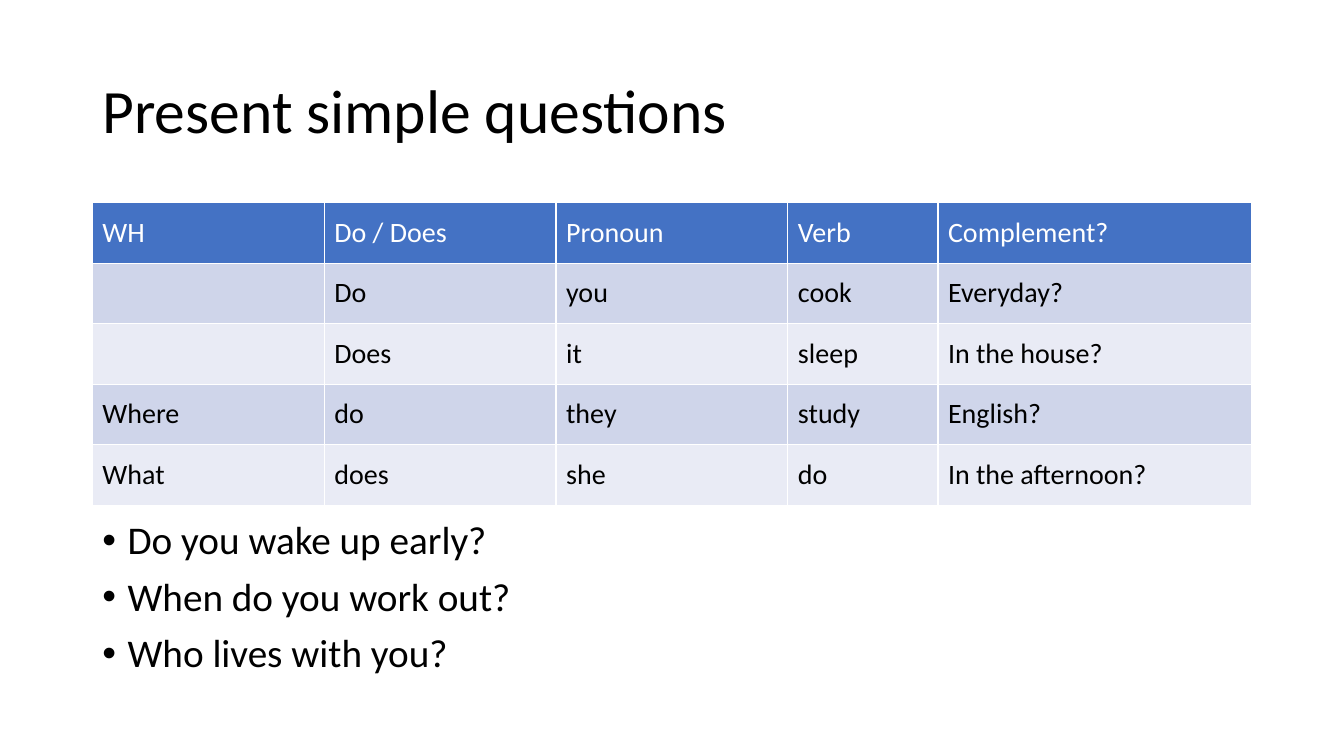
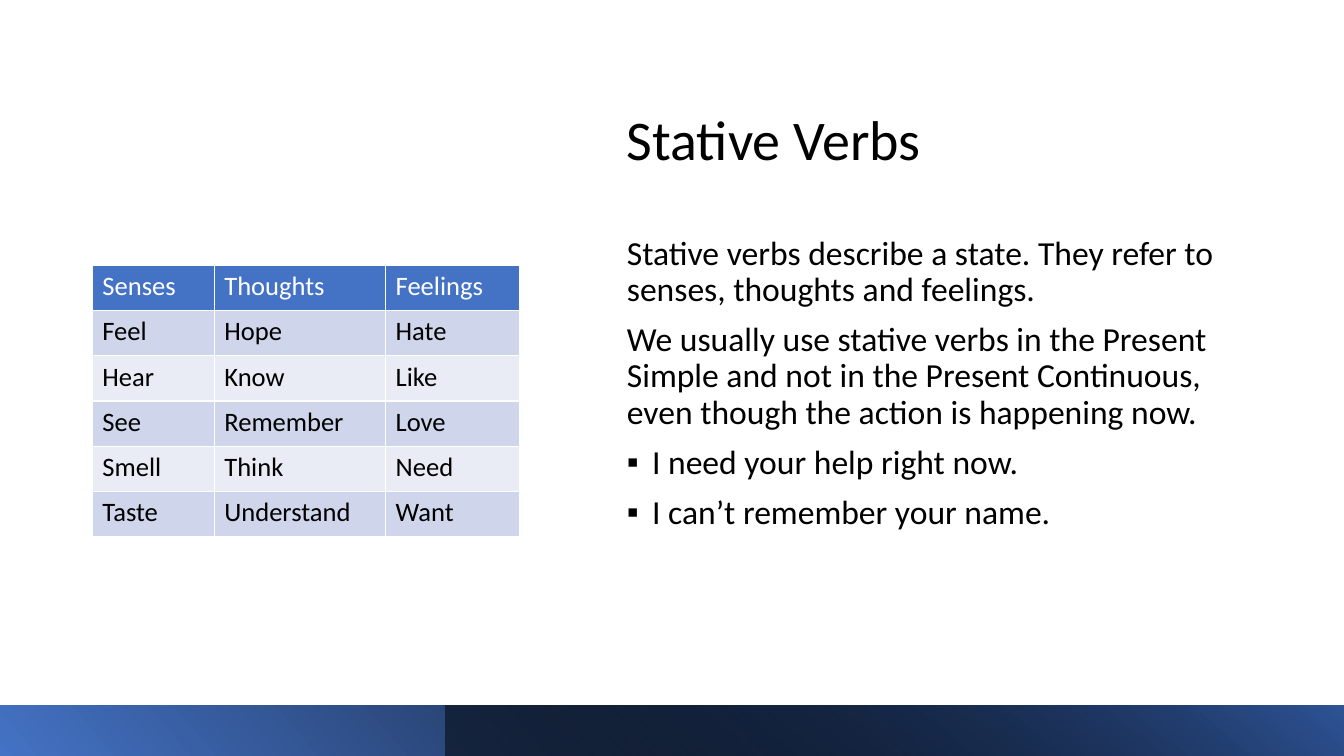
from lxml import etree
from pptx import Presentation
from pptx.dml.color import RGBColor
from pptx.enum.shapes import MSO_SHAPE
from pptx.enum.text import MSO_ANCHOR, MSO_AUTO_SIZE, PP_ALIGN
from pptx.oxml.ns import qn
from pptx.util import Pt

# Content
QUESTIONS_TITLE = "Present simple questions"
QUESTION_ROWS = [
    ("WH", "Do / Does", "Pronoun", "Verb", "Complement?"),
    ("", "Do", "you", "cook", "Everyday?"),
    ("", "Does", "it", "sleep", "In the house?"),
    ("Where", "do", "they", "study", "English?"),
    ("What", "does", "she", "do", "In the afternoon?"),
]
QUESTION_EXAMPLES = [
    ("•", "Do you wake up early?"),
    ("•", "When do you work out?"),
    ("•", "Who lives with you?"),
]
STATIVE_TITLE = "Stative Verbs"
STATIVE_ROWS = [
    ("Senses", "Thoughts", "Feelings"),
    ("Feel", "Hope", "Hate"),
    ("Hear", "Know", "Like"),
    ("See", "Remember", "Love"),
    ("Smell", "Think", "Need"),
    ("Taste", "Understand", "Want"),
]
STATIVE_NOTES = [
    ("", "Stative verbs describe a state. They refer to senses, thoughts and feelings."),
    ("", "We usually use stative verbs in the Present Simple and not in the Present "
         "Continuous, even though the action is happening now."),
    ("▪", "I need your help right now."),
    ("▪", "I can’t remember your name."),
]

# Shared style
FONT = "Calibri"
BLACK = RGBColor(0x00, 0x00, 0x00)
WHITE = RGBColor(0xFF, 0xFF, 0xFF)
BLUE = RGBColor(0x44, 0x72, 0xC4)
DEEP_BLUE = RGBColor(0x2F, 0x55, 0x97)
ROW_FILLS = (RGBColor(0xE9, 0xEB, 0xF5), RGBColor(0xCF, 0xD5, 0xEA))
TOP, MIDDLE, BOTTOM = MSO_ANCHOR.TOP, MSO_ANCHOR.MIDDLE, MSO_ANCHOR.BOTTOM
LEFT = PP_ALIGN.LEFT
NO_AUTOFIT = MSO_AUTO_SIZE.NONE
RECTANGLE = MSO_SHAPE.RECTANGLE
SLIDE_WIDTH, SLIDE_HEIGHT = 960, 540
MARGIN = 66
CONTENT_WIDTH = SLIDE_WIDTH - 2 * MARGIN
BULLET_INDENT = 18
BAND_HEIGHT = 36
TITLE_AND_CONTENT = 1


def write(paragraph, text, size, color=BLACK, line_spacing=None, space_before=0, bullet=None):
    """Fill a paragraph; bullet is a character, "" for none, None to leave as is."""
    run = paragraph.add_run()
    run.text = text
    run.font.name = FONT
    run.font.size = Pt(size)
    run.font.bold = False
    run.font.color.rgb = color
    paragraph.alignment = LEFT
    paragraph.line_spacing = line_spacing
    paragraph.space_before = Pt(space_before)
    if bullet is None:
        return
    properties = paragraph._p.get_or_add_pPr()
    indent = Pt(BULLET_INDENT) if bullet else 0
    properties.set("marL", str(indent))
    properties.set("indent", str(-indent))
    if bullet:
        etree.SubElement(properties, qn("a:buFont"), typeface="Arial")
        etree.SubElement(properties, qn("a:buChar"), char=bullet)
    else:
        etree.SubElement(properties, qn("a:buNone"))


def place(shape, left, top, width, height, anchor):
    shape.left, shape.top = Pt(left), Pt(top)
    shape.width, shape.height = Pt(width), Pt(height)
    frame = shape.text_frame
    frame.word_wrap = True
    frame.auto_size = NO_AUTOFIT
    frame.vertical_anchor = anchor
    return frame


def add_slide(presentation, title, title_box, title_size, title_anchor, items, body_box, body_size):
    slide = presentation.slides.add_slide(presentation.slide_layouts[TITLE_AND_CONTENT])
    frame = place(slide.shapes.title, *title_box, title_anchor)
    write(frame.paragraphs[0], title, title_size, line_spacing=0.9)
    frame = place(slide.placeholders[1], *body_box, TOP)
    for index, (bullet, text) in enumerate(items):
        paragraph = frame.add_paragraph() if index else frame.paragraphs[0]
        write(paragraph, text, body_size, line_spacing=0.9, space_before=10, bullet=bullet)
    return slide


def add_borders(cell):
    properties = cell._tc.get_or_add_tcPr()
    for position, side in enumerate(("a:lnL", "a:lnR", "a:lnT", "a:lnB")):
        line = etree.Element(qn(side), w=str(Pt(1)))
        fill = etree.SubElement(line, qn("a:solidFill"))
        etree.SubElement(fill, qn("a:srgbClr"), val=str(WHITE))
        properties.insert(position, line)


def add_banded_table(slide, rows, top, column_widths, row_height, size, anchor):
    table = slide.shapes.add_table(
        len(rows), len(column_widths), Pt(MARGIN), Pt(top),
        Pt(sum(column_widths)), Pt(row_height * len(rows))).table
    for column, width in zip(table.columns, column_widths):
        column.width = Pt(width)
    for row_index, texts in enumerate(rows):
        table.rows[row_index].height = Pt(row_height)
        for column_index, text in enumerate(texts):
            cell = table.cell(row_index, column_index)
            cell.vertical_anchor = anchor
            cell.fill.solid()
            cell.fill.fore_color.rgb = ROW_FILLS[row_index % 2] if row_index else BLUE
            add_borders(cell)
            if text:
                write(cell.text_frame.paragraphs[0], text, size, BLACK if row_index else WHITE)


def add_footer_band(slide, left, stops, angle):
    """Add a band from left to the slide's right edge; stops are (position, color, opacity)."""
    band = slide.shapes.add_shape(
        RECTANGLE, Pt(left), Pt(SLIDE_HEIGHT - BAND_HEIGHT),
        Pt(SLIDE_WIDTH - left), Pt(BAND_HEIGHT))
    band.shadow.inherit = False
    band.line.fill.background()
    band.fill.gradient()
    band.fill.gradient_angle = angle
    for stop, (position, color, _) in zip(band.fill.gradient_stops, stops):
        stop.position = position
        stop.color.rgb = color
    colors = band._element.spPr.iter(qn("a:srgbClr"))
    for color_element, (_, _, opacity) in zip(colors, stops):
        if opacity < 1:
            etree.SubElement(color_element, qn("a:alpha"), val=str(int(opacity * 100000)))


def main():
    presentation = Presentation()
    presentation.slide_width = Pt(SLIDE_WIDTH)
    presentation.slide_height = Pt(SLIDE_HEIGHT)

    questions = add_slide(
        presentation, QUESTIONS_TITLE, (MARGIN, 28.75, CONTENT_WIDTH, 104.4), 44, MIDDLE,
        QUESTION_EXAMPLES, (MARGIN, 368.6, CONTENT_WIDTH, 129), 28)
    add_banded_table(questions, QUESTION_ROWS, 144.8,
                     (165.6, 165.6, 165.6, 107.2, 224), 43.2, 20, MIDDLE)

    text_left, text_width = 440.6, 453
    stative = add_slide(
        presentation, STATIVE_TITLE, (text_left, 39, text_width, 88), 40, BOTTOM,
        STATIVE_NOTES, (text_left, 165, text_width, 276), 24)
    add_footer_band(stative, 0, [(0, BLUE, 1), (0.9, BLACK, 1)], 40)
    add_footer_band(stative, 318, [(0, BLACK, 0.5), (1, DEEP_BLUE, 1)], 50)
    add_banded_table(stative, STATIVE_ROWS, 189.6, (87.1, 122.4, 95.8), 32.28, 19, TOP)

    presentation.save("out.pptx")


if __name__ == "__main__":
    main()
